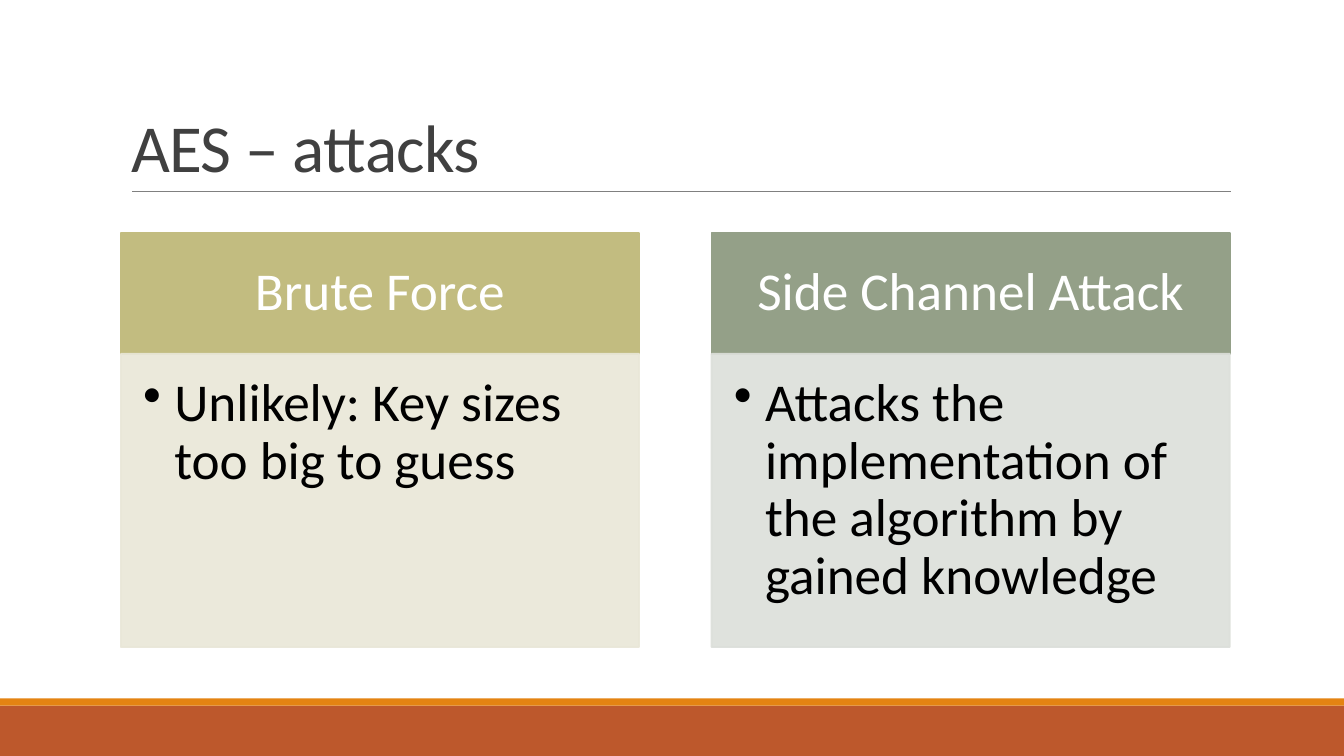
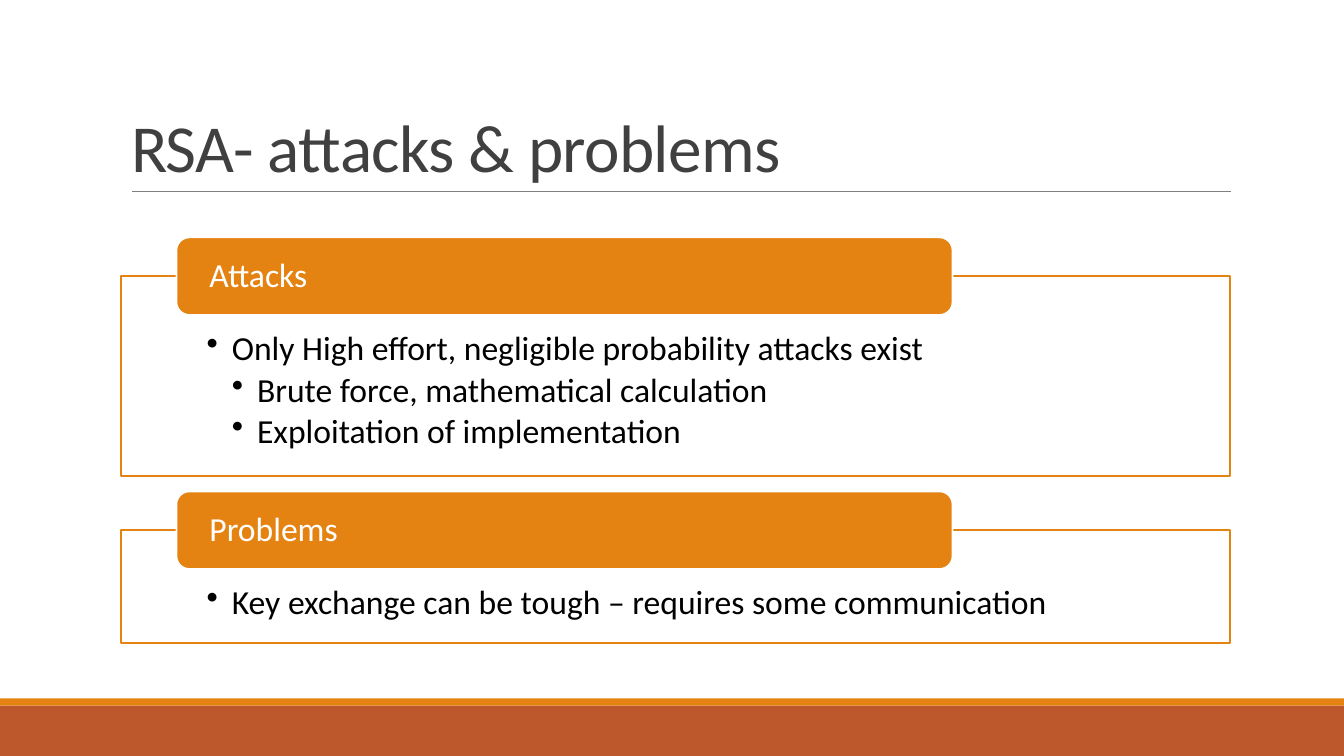
from dataclasses import dataclass
from typing import Callable, Optional

from lxml import etree
from pptx import Presentation, util as u
from pptx.dml import color
from pptx.enum import shapes, text
from pptx.oxml import ns

SLIDE_WIDTH, SLIDE_HEIGHT = u.Inches(13.33), u.Inches(7.5)
COLUMN, ROW = SLIDE_WIDTH / 40, SLIDE_HEIGHT / 30
FONT = "Calibri"
COLORS = {
    "white": "FFFFFF", "black": "000000", "title": "404040", "rule": "808080",
    "rust": "BD582C", "orange": "E48312",
    "olive": "C2BC80", "olive_pale": "E9E7D8",
    "sage": "94A088", "sage_pale": "DCDFDA",
}
LEFT, CONTENT_WIDTH = 3.6, 33
CARD_TOP, CARD_WIDTH, HEADER_HEIGHT, BODY_HEIGHT = 9.24, 15.42, 4.8, 11.64
STACK_TOP, STACK_GAP, TAB_HEIGHT, TAB_INDENT, TAB_WIDTH = 9.42, 0.62, 3.08, 1.65, 23.1


@dataclass(frozen=True)
class Box:
    left: float
    top: float
    width: float
    height: float

    def emu(self) -> tuple[int, int, int, int]:
        return (round(self.left * COLUMN), round(self.top * ROW),
                round(self.width * COLUMN), round(self.height * ROW))


@dataclass(frozen=True)
class TextStyle:
    size: int
    color: str
    insets: tuple[float, float, float, float]
    anchor: text.MSO_ANCHOR = text.MSO_ANCHOR.MIDDLE
    align: text.PP_ALIGN = text.PP_ALIGN.LEFT
    bullet_indent: float = 0
    line_spacing: float = 0.9


@dataclass(frozen=True)
class Item:
    words: str
    level: int = 1


@dataclass(frozen=True)
class Card:
    heading: str
    items: tuple[Item, ...]
    header_color: str
    body_color: str


@dataclass(frozen=True)
class Panel:
    heading: str
    items: tuple[Item, ...]
    height: float


TITLE = TextStyle(48, "title", (0.1, 0.05, 0.1, 0.05), text.MSO_ANCHOR.BOTTOM, line_spacing=0.85)
CARD_HEADER = TextStyle(38, "white", (0.3, 0.17, 0.3, 0.17), align=text.PP_ALIGN.CENTER)
CARD_BODY = TextStyle(38, "black", (0.22, 0.22, 0.3, 0.33), text.MSO_ANCHOR.TOP, bullet_indent=0.31)
PANEL_BODY = TextStyle(24, "black", (0.85, 0.55, 0.85, 0.19), text.MSO_ANCHOR.TOP, bullet_indent=0.25)
PANEL_TAB = TextStyle(24, "white", (0.29, 0, 0.29, 0))

CARDS = (
    Card("Brute Force", (Item("Unlikely: Key sizes too big to guess"),), "olive", "olive_pale"),
    Card("Side Channel Attack",
         (Item("Attacks the implementation of the algorithm by gained knowledge"),),
         "sage", "sage_pale"),
)
PANELS = (
    Panel("Attacks", (
        Item("Only High effort, negligible probability attacks exist"),
        Item("Brute force, mathematical calculation", 2),
        Item("Exploitation of implementation", 2),
    ), 7.92),
    Panel("Problems", (Item("Key exchange can be tough – requires some communication"),), 4.48),
)


def rgb(name: str) -> color.RGBColor:
    return color.RGBColor.from_string(COLORS[name])


def make_translucent(element, percent: int) -> None:
    for value in element.iter(ns.qn("a:srgbClr")):
        etree.SubElement(value, ns.qn("a:alpha")).set("val", str(percent * 1000))


def add_bullet(paragraph, level: int, indent: float) -> None:
    properties = paragraph._p.get_or_add_pPr()
    properties.set("marL", str(u.Inches(indent * level)))
    properties.set("indent", str(-u.Inches(indent)))
    etree.SubElement(properties, ns.qn("a:buChar")).set("char", "•")


def write(shape, items: tuple[Item, ...], style: TextStyle) -> None:
    frame = shape.text_frame
    frame.text = "\n".join(item.words for item in items)
    frame.word_wrap = True
    frame.auto_size = text.MSO_AUTO_SIZE.NONE
    frame.vertical_anchor = style.anchor
    (frame.margin_left, frame.margin_top,
     frame.margin_right, frame.margin_bottom) = map(u.Inches, style.insets)
    for paragraph, item in zip(frame.paragraphs, items):
        paragraph.alignment = style.align
        paragraph.line_spacing = style.line_spacing
        paragraph.space_before = u.Pt(0)
        if style.bullet_indent:
            paragraph.level = item.level
            paragraph.space_after = u.Pt(style.size * 0.15)
            add_bullet(paragraph, item.level, style.bullet_indent)
        for run in paragraph.runs:
            run.font.name = FONT
            run.font.size = u.Pt(style.size)
            run.font.color.rgb = rgb(style.color)


def add_block(slide, box: Box, fill: str, line: Optional[str] = None,
              kind: shapes.MSO_SHAPE = shapes.MSO_SHAPE.RECTANGLE, opacity: int = 100):
    shape = slide.shapes.add_shape(kind, *box.emu())
    shape.shadow.inherit = False
    shape.fill.solid()
    shape.fill.fore_color.rgb = rgb(fill)
    if opacity < 100:
        make_translucent(shape._element.spPr, opacity)
    if line is None:
        shape.line.fill.background()
    else:
        shape.line.color.rgb = rgb(line)
        shape.line.width = u.Pt(1.25)
    return shape


def add_titled_slide(presentation, title: str):
    slide = presentation.slides.add_slide(presentation.slide_layouts[5])
    add_block(slide, Box(0, 28, 40, 2), "rust")
    add_block(slide, Box(0, 27.72, 40, 0.28), "orange")
    start, height = round(3.93 * COLUMN), round(7.6 * ROW)
    rule = slide.shapes.add_connector(
        shapes.MSO_CONNECTOR.STRAIGHT, start, height, round(36.63 * COLUMN), height)
    rule.line.color.rgb = rgb("rule")
    rule.line.width = u.Pt(0.5)
    etree.SubElement(rule._element.spPr, ns.qn("a:effectLst"))
    heading = slide.shapes.title
    heading.left, heading.top, heading.width, heading.height = Box(
        LEFT, 1.24, CONTENT_WIDTH, 6.36).emu()
    write(heading, (Item(title),), TITLE)
    for run in heading.text_frame.paragraphs[0].runs:
        run.font._element.set("spc", "-50")
    return slide


def draw_cards(slide) -> None:
    step = (CONTENT_WIDTH - CARD_WIDTH) / (len(CARDS) - 1)
    for index, card in enumerate(CARDS):
        left = LEFT + index * step
        header = add_block(slide, Box(left, CARD_TOP, CARD_WIDTH, HEADER_HEIGHT),
                           card.header_color, card.header_color)
        write(header, (Item(card.heading),), CARD_HEADER)
        body = add_block(slide, Box(left, CARD_TOP + HEADER_HEIGHT, CARD_WIDTH, BODY_HEIGHT),
                         card.body_color, card.body_color, opacity=90)
        make_translucent(body.line._get_or_add_ln(), 90)
        write(body, card.items, CARD_BODY)


def draw_panels(slide) -> None:
    top = STACK_TOP
    for panel in PANELS:
        panel_top = top + TAB_HEIGHT / 2
        body = add_block(slide, Box(LEFT, panel_top, CONTENT_WIDTH, panel.height),
                         "white", "orange", opacity=90)
        write(body, panel.items, PANEL_BODY)
        tab = add_block(slide, Box(LEFT + TAB_INDENT, top, TAB_WIDTH, TAB_HEIGHT),
                        "orange", "white", shapes.MSO_SHAPE.ROUNDED_RECTANGLE)
        write(tab, (Item(panel.heading),), PANEL_TAB)
        top = panel_top + panel.height + STACK_GAP


def build() -> None:
    presentation = Presentation()
    presentation.slide_width, presentation.slide_height = SLIDE_WIDTH, SLIDE_HEIGHT
    pages: tuple[tuple[str, Callable], ...] = (
        ("AES – attacks", draw_cards),
        ("RSA- attacks & problems", draw_panels),
    )
    for title, draw in pages:
        draw(add_titled_slide(presentation, title))
    presentation.save("out.pptx")


build()
